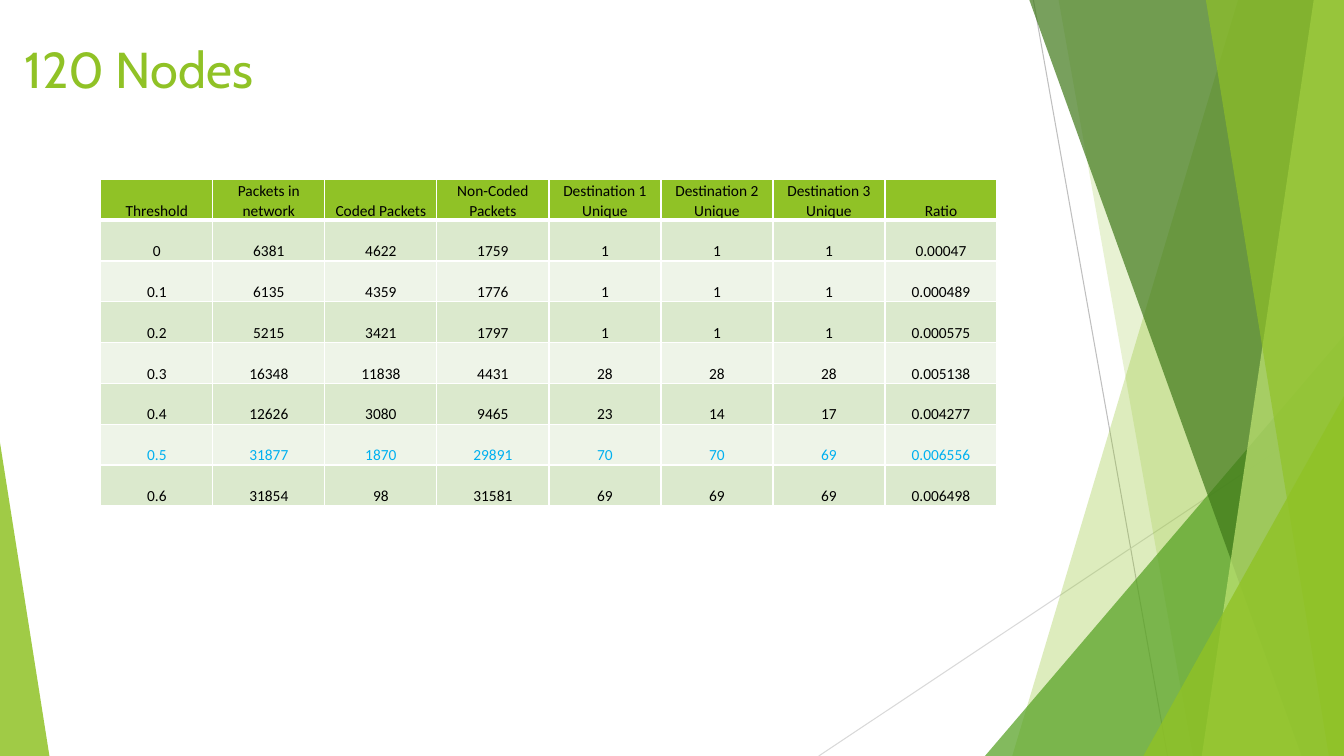
"""Build the 120 Nodes results slide with its green faceted backdrop."""
import lxml.etree
import pptx
import pptx.dml.color
import pptx.enum.shapes
import pptx.enum.text
import pptx.oxml.ns
import pptx.util

TITLE = "120 Nodes"
HEAD = ["Threshold", "Packets in network", "Coded Packets", "Non-Coded Packets",
        "Destination 1 Unique", "Destination 2 Unique", "Destination 3 Unique", "Ratio"]
ROWS = [
    ["0", "6381", "4622", "1759", "1", "1", "1", "0.00047"],
    ["0.1", "6135", "4359", "1776", "1", "1", "1", "0.000489"],
    ["0.2", "5215", "3421", "1797", "1", "1", "1", "0.000575"],
    ["0.3", "16348", "11838", "4431", "28", "28", "28", "0.005138"],
    ["0.4", "12626", "3080", "9465", "23", "14", "17", "0.004277"],
    ["0.5", "31877", "1870", "29891", "70", "70", "69", "0.006556"],
    ["0.6", "31854", "98", "31581", "69", "69", "69", "0.006498"],
]
BEST = "0.5"

THEME = {
    "lime": "90C226", "leaf": "54A021", "moss": "3F7819", "pale": "C0E474",
    "bands": ["DBE9CD", "EEF4E8"], "ink": "000000", "mark": "00B0F0",
    "rule": "FFFFFF", "title": ("Cabin", 36), "cell": ("Calibri", 11),
}

# Backdrop positions are percentages of the slide's width and height.
LINES = [((76.89, 0), (86.87, 100), "BFBFBF"), ((100, 53.73), (60.92, 100), "D9D9D9")]
FACETS = [
    ("shard", 92.12, 75.32, "lime", 30),
    ("shard", 78.77, 88.75, "lime", 20),
    ("wedge", (73.29, 44.4, 26.71), 1, "leaf", 72),
    ("shard", 76.59, 96.85, "moss", 70),
    ("shard", 97.75, 89.42, "pale", 70),
    ("shard", 89.72, 98.87, "lime", 65),
    ("wedge", (85.07, 52.4, 14.93), 1, "lime", 80),
    ("wedge", (0, 58.53, 3.68), 0, "lime", 85),
]

deck = pptx.Presentation()
deck.slide_width = pptx.util.Inches(13.33)
deck.slide_height = pptx.util.Inches(7.5)
slide = deck.slides.add_slide(deck.slide_layouts[5])
shapes = slide.shapes


def hue(code):
    return pptx.dml.color.RGBColor.from_string(code)


def wide(part):
    return round(deck.slide_width * part / 100)


def high(part):
    return round(deck.slide_height * part / 100)


def sub(node, tag, **attrs):
    return lxml.etree.SubElement(node, pptx.oxml.ns.qn(tag), **attrs)


def style(para, face, color):
    for run in para.runs:
        run.font.name, size = face
        run.font.size = pptx.util.Pt(size)
        run.font.color.rgb = hue(color)


def add_line(start, end, color):
    line = shapes.add_connector(pptx.enum.shapes.MSO_CONNECTOR.STRAIGHT,
                                wide(start[0]), high(start[1]), wide(end[0]), high(end[1]))
    line.line.color.rgb = hue(color)
    line.line.width = pptx.util.Pt(0.75)
    sub(line._element.spPr, "a:effectLst")


def add_shard(top, foot):
    pen = shapes.build_freeform(wide(top), 0)
    pen.add_line_segments([(wide(100), 0), (wide(100), high(100)), (wide(foot), high(100))])
    return pen.convert_to_shape()


def add_wedge(box, apex):
    left, top, width = box
    kind = pptx.enum.shapes.MSO_SHAPE.ISOSCELES_TRIANGLE
    wedge = shapes.add_shape(kind, wide(left), high(top), wide(width), high(100 - top))
    wedge.adjustments[0] = apex
    return wedge


def add_facet(kind, first, second, color, alpha):
    facet = {"shard": add_shard, "wedge": add_wedge}[kind](first, second)
    facet.shadow.inherit = False
    facet.line.fill.background()
    facet.fill.solid()
    facet.fill.fore_color.rgb = hue(THEME[color])
    tint = facet._element.spPr.find(".//" + pptx.oxml.ns.qn("a:srgbClr"))
    sub(tint, "a:alpha", val=str(alpha * 1000))


def add_rules(cell, row):
    props = cell._tc.get_or_add_tcPr()
    heavy = {(0, "B"), (1, "T")}
    for side in "LRTB":
        points = 3 if (row, side) in heavy else 1
        edge = sub(props, "a:ln" + side, w=str(pptx.util.Pt(points)))
        sub(sub(edge, "a:solidFill"), "a:srgbClr", val=THEME["rule"])


def fill_cell(cell, text, row, color):
    add_rules(cell, row)
    cell.fill.solid()
    cell.fill.fore_color.rgb = hue(THEME["bands"][(row - 1) % 2] if row else THEME["lime"])
    cell.margin_left = cell.margin_right = cell.margin_top = pptx.util.Inches(0.01)
    cell.margin_bottom = 0
    cell.vertical_anchor = pptx.enum.text.MSO_ANCHOR.BOTTOM
    cell.text_frame.text = text
    para = cell.text_frame.paragraphs[0]
    para.alignment = pptx.enum.text.PP_ALIGN.CENTER
    style(para, THEME["cell"], color)
    for run in para.runs:
        run.font.bold = False


def add_grid():
    data = [HEAD] + ROWS
    width, height = pptx.util.Inches(8.89), pptx.util.Inches(3.24)
    grid = shapes.add_table(len(data), len(HEAD), pptx.util.Inches(1),
                            pptx.util.Inches(1.78), width, height).table
    for row, texts in enumerate(data):
        grid.rows[row].height = height // len(data)
        color = THEME["mark" if texts[0] == BEST else "ink"]
        for col, text in enumerate(texts):
            fill_cell(grid.cell(row, col), text, row, color)


def set_title():
    title = shapes.title
    title.left, title.top = pptx.util.Inches(0.14), pptx.util.Inches(0.33)
    title.width, title.height = pptx.util.Inches(3.99), pptx.util.Inches(1.45)
    frame = title.text_frame
    frame.text = TITLE
    frame.word_wrap = True
    frame.vertical_anchor = pptx.enum.text.MSO_ANCHOR.TOP
    frame.paragraphs[0].alignment = pptx.enum.text.PP_ALIGN.LEFT
    style(frame.paragraphs[0], THEME["title"], THEME["lime"])


def main():
    for line in LINES:
        add_line(*line)
    for facet in FACETS:
        add_facet(*facet)
    set_title()
    add_grid()
    deck.save("out.pptx")


if __name__ == "__main__":
    main()
